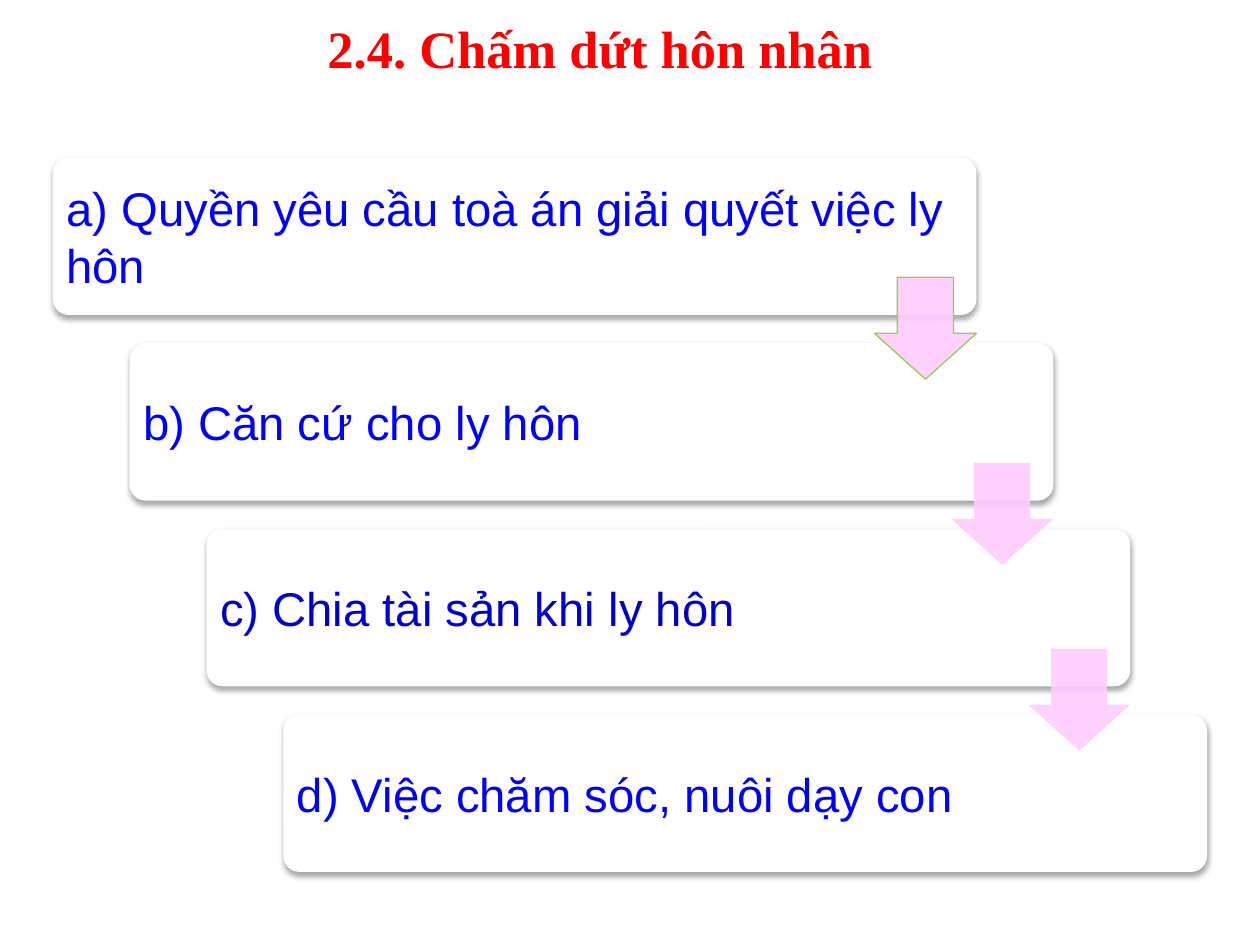
from dataclasses import dataclass

from lxml.etree import SubElement
from pptx import Presentation
from pptx.dml.color import RGBColor
from pptx.enum.shapes import MSO_SHAPE
from pptx.enum.text import MSO_ANCHOR, PP_ALIGN
from pptx.oxml.ns import qn
from pptx.util import Inches, Pt


@dataclass(frozen=True)
class Theme:
    red: RGBColor = RGBColor(0xFF, 0x00, 0x00)
    blue: RGBColor = RGBColor(0x00, 0x00, 0xFF)
    navy: RGBColor = RGBColor(0x00, 0x00, 0xCC)
    white: RGBColor = RGBColor(0xFF, 0xFF, 0xFF)
    pink: RGBColor = RGBColor(0xFF, 0xCC, 0xFF)
    green: RGBColor = RGBColor(0x92, 0xD0, 0x50)
    serif: str = "Times New Roman"
    sans: str = "Arial"
    head: Pt = Pt(30)
    body: Pt = Pt(27)


THEME = Theme()

STEPS = [
    ("a) Quyền yêu cầu toà án giải quyết việc ly hôn", THEME.blue),
    ("b) Căn cứ cho ly hôn", THEME.blue),
    ("c) Chia tài sản khi ly hôn", THEME.navy),
    ("d) Việc chăm sóc, nuôi dạy con", THEME.blue),
]


def style(para, face, size, color, bold=False):
    font = para.font
    font.name, font.size, font.bold = face, size, bold
    font.color.rgb = color


def set_alpha(fill_xml, percent):
    SubElement(fill_xml, qn("a:alpha"), val=str(percent * 1000))


def add_shadow(shape):
    shape.shadow.inherit = False
    effects = shape._element.spPr.find(qn("a:effectLst"))
    outer = SubElement(effects, qn("a:outerShdw"), blurRad=str(Pt(3.1)),
                       dist=str(Pt(1.8)), dir="5400000", rotWithShape="0")
    set_alpha(SubElement(outer, qn("a:srgbClr"), val="000000"), 35)


def add_title(slide, left, top, width, height):
    box = slide.shapes.add_textbox(left, top, width, height)
    frame = box.text_frame
    frame.word_wrap = True
    frame.vertical_anchor = MSO_ANCHOR.MIDDLE
    para = frame.paragraphs[0]
    para.text = " 2.4. Chấm dứt hôn nhân"
    para.alignment = PP_ALIGN.CENTER
    style(para, THEME.serif, THEME.head, THEME.red, bold=True)


def add_card(slide, left, top, width, height, text, color):
    card = slide.shapes.add_shape(
        MSO_SHAPE.ROUNDED_RECTANGLE, left, top, width, height)
    card.adjustments[0] = 0.1
    card.fill.solid()
    card.fill.fore_color.rgb = THEME.white
    card.line.fill.background()
    add_shadow(card)
    frame = card.text_frame
    frame.word_wrap = True
    frame.vertical_anchor = MSO_ANCHOR.MIDDLE
    # The rounded corners add a little to these margins
    frame.margin_left = frame.margin_right = Inches(0.07)
    frame.margin_top = frame.margin_bottom = Inches(0.07)
    para = frame.paragraphs[0]
    para.text = text
    para.alignment = PP_ALIGN.LEFT
    style(para, THEME.sans, THEME.body, color)


def add_arrow(slide, left, top, size, edge=None):
    arrow = slide.shapes.add_shape(
        MSO_SHAPE.DOWN_ARROW, left, top, size, size)
    arrow.adjustments[0] = 0.55
    arrow.adjustments[1] = 0.45
    arrow.shadow.inherit = False
    arrow.fill.solid()
    arrow.fill.fore_color.rgb = THEME.pink
    set_alpha(arrow._element.spPr.find(qn("a:solidFill"))[0], 90)
    if edge is None:
        arrow.line.fill.background()
    else:
        arrow.line.color.rgb = edge
        arrow.line.width = Pt(0.75)


def add_stairs(slide, left, top, width, height):
    """Cards step down from the top left to the bottom right of the box."""
    wide, high, size = Inches(7.33), Inches(1.25), Inches(0.81)
    gaps = len(STEPS) - 1
    right, down = (width - wide) / gaps, (height - high) / gaps
    spots = [(int(left + i * right), int(top + i * down))
             for i in range(len(STEPS))]

    # Cards
    for (x, y), (text, color) in zip(spots, STEPS):
        add_card(slide, x, y, wide, high, text, color)

    # Arrows, flush with the right side of each card but the last
    for i, (x, y) in enumerate(spots[:-1]):
        add_arrow(slide, x + wide - size, y + Inches(0.95), size,
                  THEME.green if i == 0 else None)


def main():
    deck = Presentation()
    deck.slide_width, deck.slide_height = Inches(10), Inches(7.5)
    slide = deck.slides.add_slide(deck.slide_layouts[6])
    add_stairs(slide, Inches(0.42), Inches(1.25), Inches(9.16), Inches(5.67))
    add_title(slide, Inches(0.67), Inches(0), Inches(8.08), Inches(0.75))
    deck.save("out.pptx")


if __name__ == "__main__":
    main()
